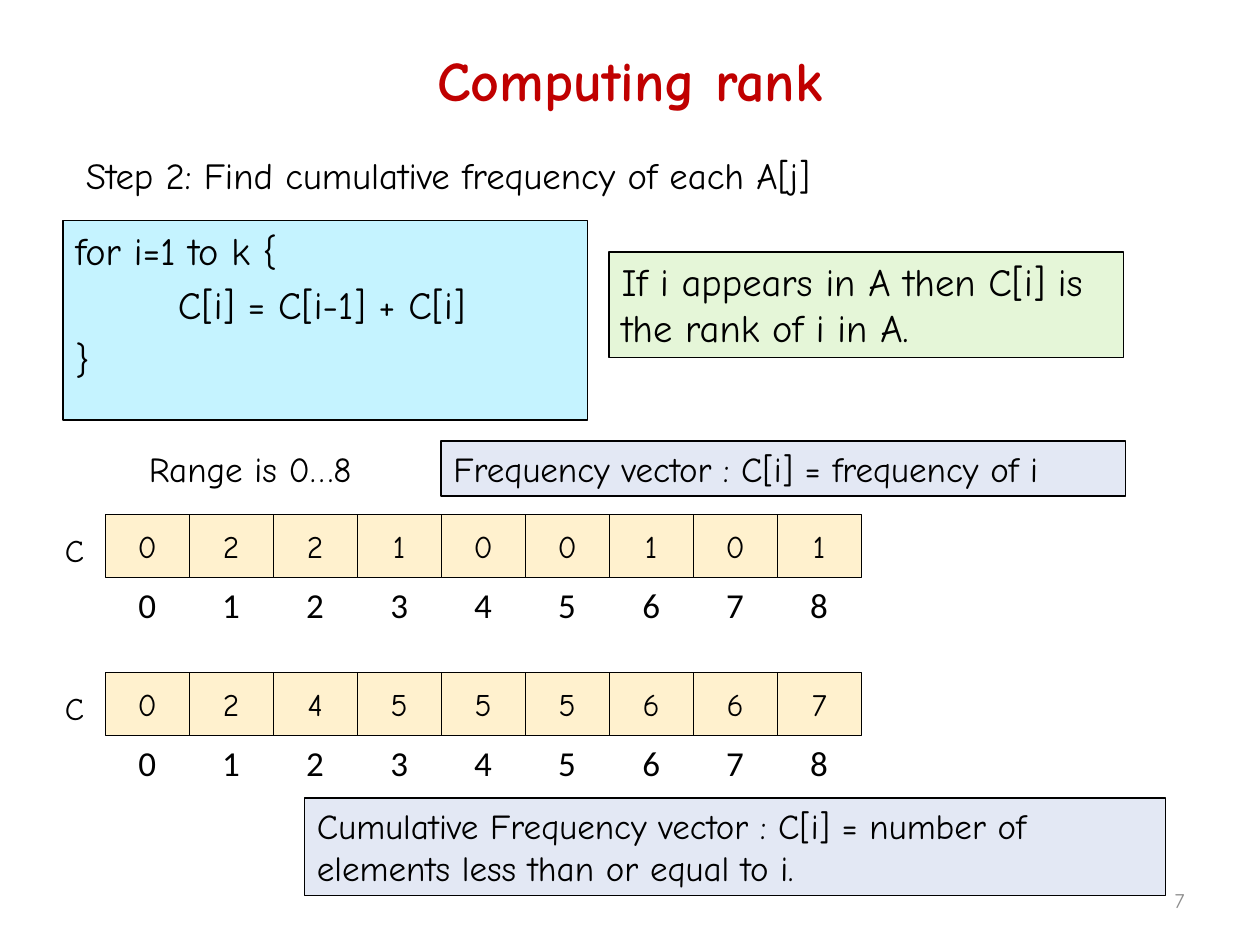
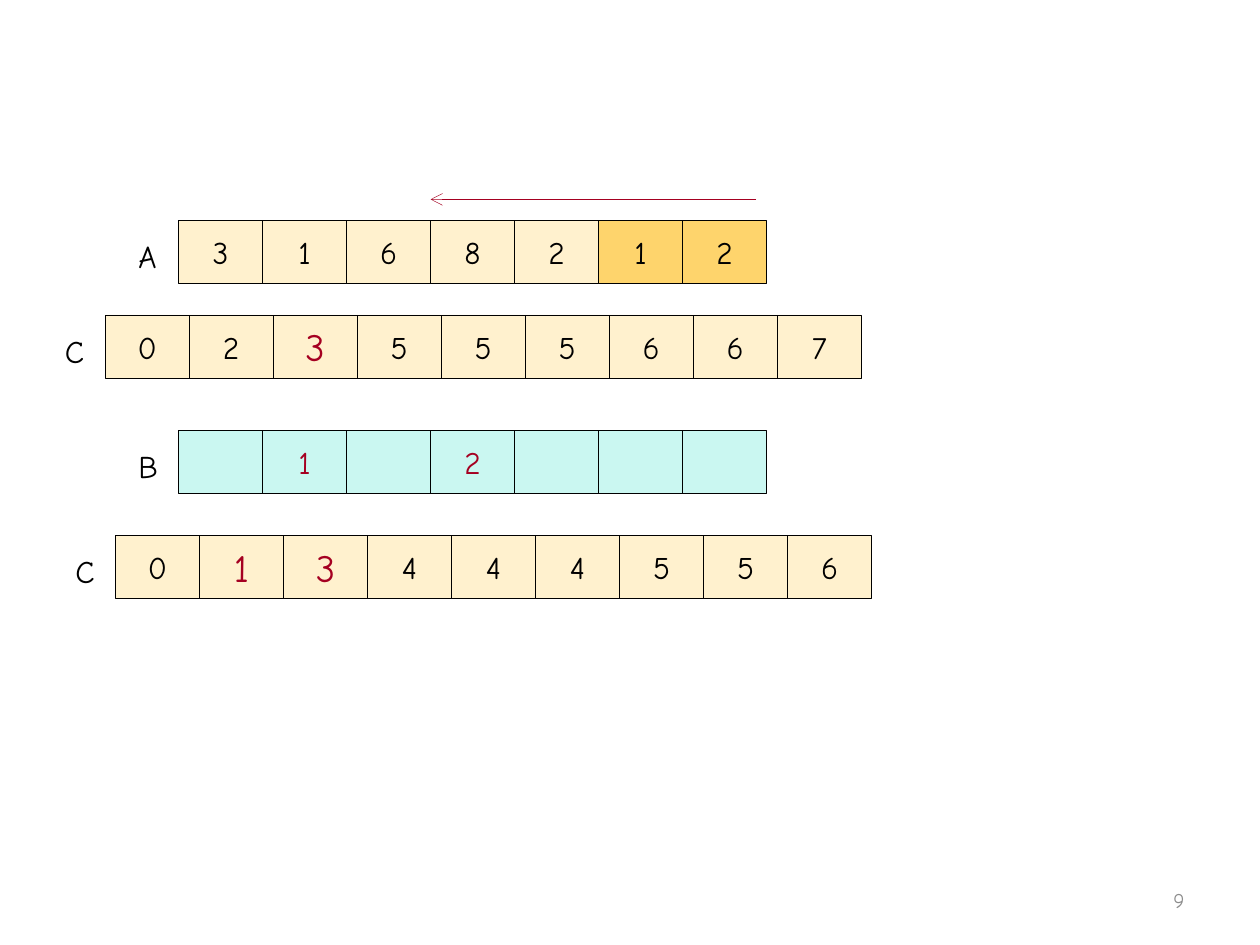
import pptx
import pptx.util
import pptx.dml.color
import pptx.enum.shapes
import pptx.enum.text
import pptx.oxml.ns
from lxml import etree

Cm, Pt = pptx.util.Cm, pptx.util.Pt
RGB = pptx.dml.color.RGBColor
ALIGN = pptx.enum.text.PP_ALIGN
ANCHOR = pptx.enum.text.MSO_ANCHOR

BLACK = RGB(0x00, 0x00, 0x00)
GREY = RGB(0x8C, 0x8C, 0x8C)
RED = RGB(0xC0, 0x00, 0x00)
WINE = RGB(0xA5, 0x00, 0x21)
CREAM = RGB(0xFF, 0xF1, 0xCE)
GOLD = RGB(0xFE, 0xD4, 0x6C)
AQUA = RGB(0xCA, 0xF7, 0xF1)
SKY = RGB(0xC5, 0xF3, 0xFF)
GREEN = RGB(0xE5, 0xF6, 0xD8)
LILAC = RGB(0xE3, 0xE8, 0xF4)

FONT = "Comic Neue"
CELL_W, CELL_H = 25.4 / 15, 1.27


def write(shape, text, size, color=BLACK, font=FONT, bold=False,
          align=ALIGN.LEFT, anchor=ANCHOR.TOP, wrap=True, gap=0):
    """Fill a shape with text, one paragraph a line."""
    frame = shape.text_frame
    frame.word_wrap = wrap
    frame.vertical_anchor = anchor
    for i, line in enumerate(text.split("\n")):
        para = frame.paragraphs[0] if i == 0 else frame.add_paragraph()
        para.text = line
        para.alignment = align
        if i and gap:
            para.space_before = Pt(gap)
        para.font.name = font
        para.font.size = Pt(size)
        para.font.bold = bold
        para.font.color.rgb = color


def label(slide, box, text, size, **style):
    """Plain text box."""
    write(slide.shapes.add_textbox(*map(Cm, box)), text, size, **style)


def panel(slide, box, fill, text="", size=20, line=0.75, **style):
    """Filled rectangle with a thin black outline."""
    kind = pptx.enum.shapes.MSO_SHAPE.RECTANGLE
    shape = slide.shapes.add_shape(kind, *map(Cm, box))
    shape.shadow.inherit = False
    shape.fill.solid()
    shape.fill.fore_color.rgb = fill
    shape.line.color.rgb = BLACK
    shape.line.width = Pt(line)
    if text:
        write(shape, text, size, **style)


def row(slide, left, top, name, values, fill=CREAM, hot=(), size=22, dark=()):
    """Named array: hot cells have wine digits, dark cells a gold fill."""
    label(slide, (left - 1.06, top + 0.21, 1, 1.02), name, 18)
    for i, value in enumerate(values):
        panel(slide, (left + i * CELL_W, top, CELL_W, CELL_H),
              GOLD if i in dark else fill, value,
              size if i in hot else 18, 0.25,
              color=WINE if i in hot else BLACK,
              align=ALIGN.CENTER, anchor=ANCHOR.MIDDLE)


def index(slide, left, top, count):
    """Cell numbers under an array."""
    width = 0.86
    for i in range(count):
        x = left + i * CELL_W + (CELL_W - width) / 2
        label(slide, (x, top + CELL_H, width, 1.12), str(i), 20,
              font="Calibri", align=ALIGN.CENTER, wrap=False)


def arrow(slide, start, end, y):
    """Thin horizontal arrow."""
    kind = pptx.enum.shapes.MSO_CONNECTOR.STRAIGHT
    link = slide.shapes.add_connector(kind, Cm(start), Cm(y), Cm(end), Cm(y))
    link.line.color.rgb = WINE
    link.line.width = Pt(0.25)
    qn = pptx.oxml.ns.qn
    etree.SubElement(link.line._get_or_add_ln(), qn("a:tailEnd"), type="arrow")
    etree.SubElement(link._element.spPr, qn("a:effectLst"))


def page(deck, number):
    """Blank slide with its number."""
    slide = deck.slides.add_slide(deck.slide_layouts[6])
    label(slide, (18.2, 17.65, 5.93, 1.01), number, 12, color=GREY,
          align=ALIGN.RIGHT, anchor=ANCHOR.MIDDLE)
    return slide


def rank(deck):
    """Cumulative frequency step."""
    slide = page(deck, "7")
    label(slide, (1.27, 0, 22.86, 3.18), "Computing rank", 32, color=RED,
          bold=True, align=ALIGN.CENTER, anchor=ANCHOR.MIDDLE)

    # Step and its code
    label(slide, (1.48, 2.96, 16.87, 1.15),
          "Step 2: Find cumulative frequency of each A[j]", 21)
    panel(slide, (1.27, 4.45, 10.58, 4.02), SKY,
          "for i=1 to k {\n        C[i] = C[i-1] + C[i]\n}", 22, gap=4.5)
    panel(slide, (12.28, 5.08, 10.37, 2.13), GREEN,
          "If i appears in A then C[i] is the rank of i in A.", 22)

    # Frequencies, then running sums
    label(slide, (2.75, 8.89, 5, 1.11), "Range is 0…8", 20)
    panel(slide, (8.89, 8.89, 13.8, 1.11), LILAC,
          "Frequency vector : C[i] = frequency of i")
    for top, values in ((10.37, "022100101"), (13.55, "024555667")):
        row(slide, 2.12, top, "C", values)
        index(slide, 2.12, top, len(values))
    panel(slide, (6.14, 16.09, 17.36, 1.96), LILAC,
          "Cumulative Frequency vector : C[i] = number of "
          "elements less than or equal to i.")


def trace(deck):
    """Arrays after two placed items."""
    slide = page(deck, "9")
    arrow(slide, 15.24, 8.68, 4.02)
    row(slide, 3.6, 4.45, "A", "3168212", dark=(5, 6))
    row(slide, 2.12, 6.35, "C", "023555667", hot=(2,))
    row(slide, 3.6, 8.68, "B", ["", "1", "", "2", "", "", ""],
        fill=AQUA, hot=(1, 3), size=18)
    row(slide, 2.33, 10.8, "C", "013444556", hot=(1, 2))


def main():
    deck = pptx.Presentation()
    deck.slide_width, deck.slide_height = Cm(25.4), Cm(19.05)
    rank(deck)
    trace(deck)
    deck.save("out.pptx")


if __name__ == "__main__":
    main()
